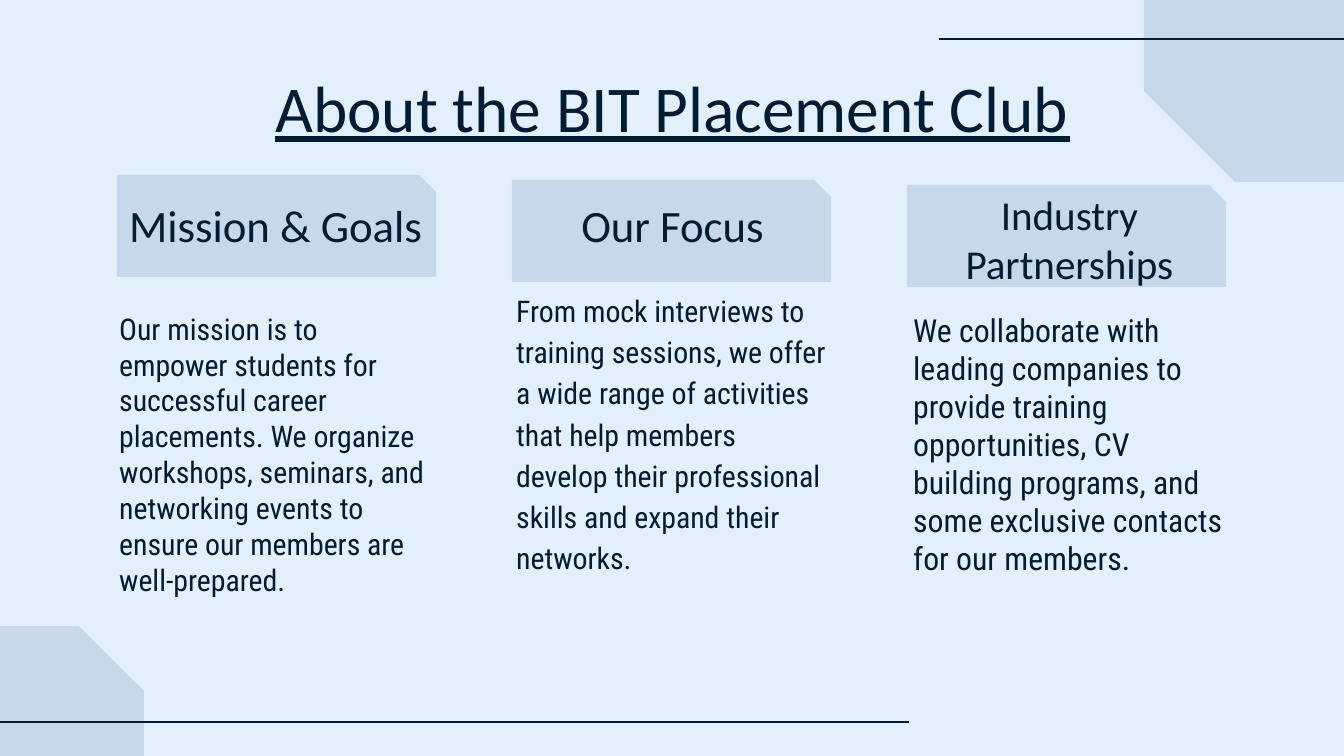
from lxml import etree
from pptx import Presentation
from pptx import util as u
from pptx.dml.color import RGBColor
from pptx.enum import shapes, text
from pptx.oxml.ns import qn

PX = 914400 / 134.4
HUE = {"back": "E3EFFA", "ink": "021C33", "tint": "084478"}


def px(*nums):
    return [u.Emu(round(n * PX)) for n in nums]


def write(box, words, size, font, mid=False, low=False, lead=None, line=False):
    frame = slide.shapes.add_textbox(*px(*box)).text_frame
    frame.word_wrap = True
    frame.margin_left = frame.margin_right = u.Inches(0.1)
    frame.margin_top = frame.margin_bottom = u.Inches(0.1)
    frame.vertical_anchor = text.MSO_ANCHOR.BOTTOM if low else text.MSO_ANCHOR.TOP
    para = frame.paragraphs[0]
    para.alignment = text.PP_ALIGN.CENTER if mid else text.PP_ALIGN.LEFT
    if lead:
        para.line_spacing = lead
    run = para.add_run()
    run.text = words
    run.font.size = u.Pt(size)
    run.font.name = font
    run.font.underline = line
    run.font.color.rgb = RGBColor.from_string(HUE["ink"])


deck = Presentation()
deck.slide_width, deck.slide_height = px(1344, 756)
slide = deck.slides.add_slide(deck.slide_layouts[6])
slide.background.fill.solid()
slide.background.fill.fore_color.rgb = RGBColor.from_string(HUE["back"])

# Rules at the top right and bottom left: x from, x to, y
rules = [(1344, 939, 39), (0, 909, 722)]

# Corner blocks and heading cards: box, snip, turn
snips = [((1144, 0, 200, 182), 0.5, 180), ((0, 626, 144, 130), 0.5, 0)]
snips += [((117 + 395 * i, 175 + 5 * i, 319, 102), 0.167, 0) for i in range(3)]

# Columns: heading, size, top, height; body, size, top, height, line spacing
cols = [
    ("Mission & Goals", 24, 207, 58,
     "Our mission is to empower students for successful career placements. "
     "We organize workshops, seminars, and networking events to ensure "
     "our members are well-prepared.", 16, 297, 302, None),
    ("Our Focus", 24, 207, 58,
     "From mock interviews to training sessions, we offer a wide range of "
     "activities that help members develop their professional skills and "
     "expand their networks.", 16, 274, 325, 1.15),
    ("Industry Partnerships", 22, 185, 116,
     "We collaborate with leading companies to provide training "
     "opportunities, CV building programs, and some exclusive contacts "
     "for our members.", 17, 297, 319, None),
]

# Tinted shapes
for box, cut, turn in snips:
    snip = slide.shapes.add_shape(shapes.MSO_SHAPE.SNIP_1_RECTANGLE, *px(*box))
    snip.adjustments[0] = cut
    snip.rotation = turn
    snip.shadow.inherit = False
    snip.line.fill.background()
    snip.fill.solid()
    snip.fill.fore_color.rgb = RGBColor.from_string(HUE["tint"])
    tone = snip.fill._xPr.find(".//" + qn("a:srgbClr"))
    etree.SubElement(tone, qn("a:alpha")).set("val", "13000")

# Thin rules
for left, right, y in rules:
    rule = slide.shapes.add_connector(shapes.MSO_CONNECTOR.STRAIGHT,
                                      *px(left, y, right, y))
    rule.line.width = u.Pt(0.75)
    rule.line.color.rgb = RGBColor.from_string(HUE["ink"])
    etree.SubElement(rule._element.spPr, qn("a:effectLst"))

# Title
write((106, 54, 1133, 85), "About the BIT Placement Club", 35, "Calibri",
      mid=True, line=True)

# Column text
for i, (head, hsize, htop, hhigh, body, size, top, high, lead) in enumerate(cols):
    x = 106 + 397 * i
    write((x, htop, 339, hhigh), head, hsize, "Calibri", mid=True, low=True)
    write((x, top, 339, high), body, size, "Roboto Condensed", lead=lead)

deck.save("out.pptx")
